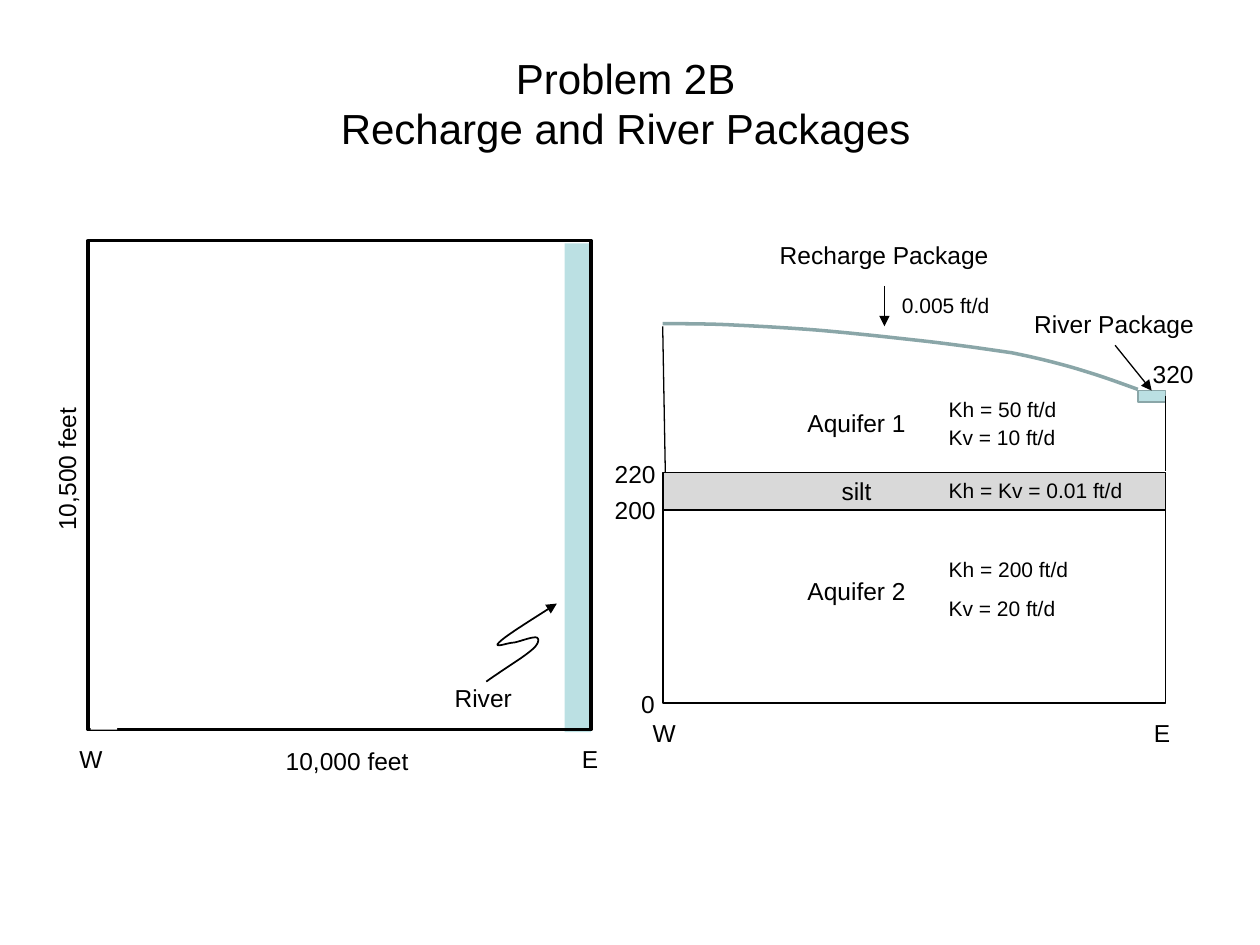
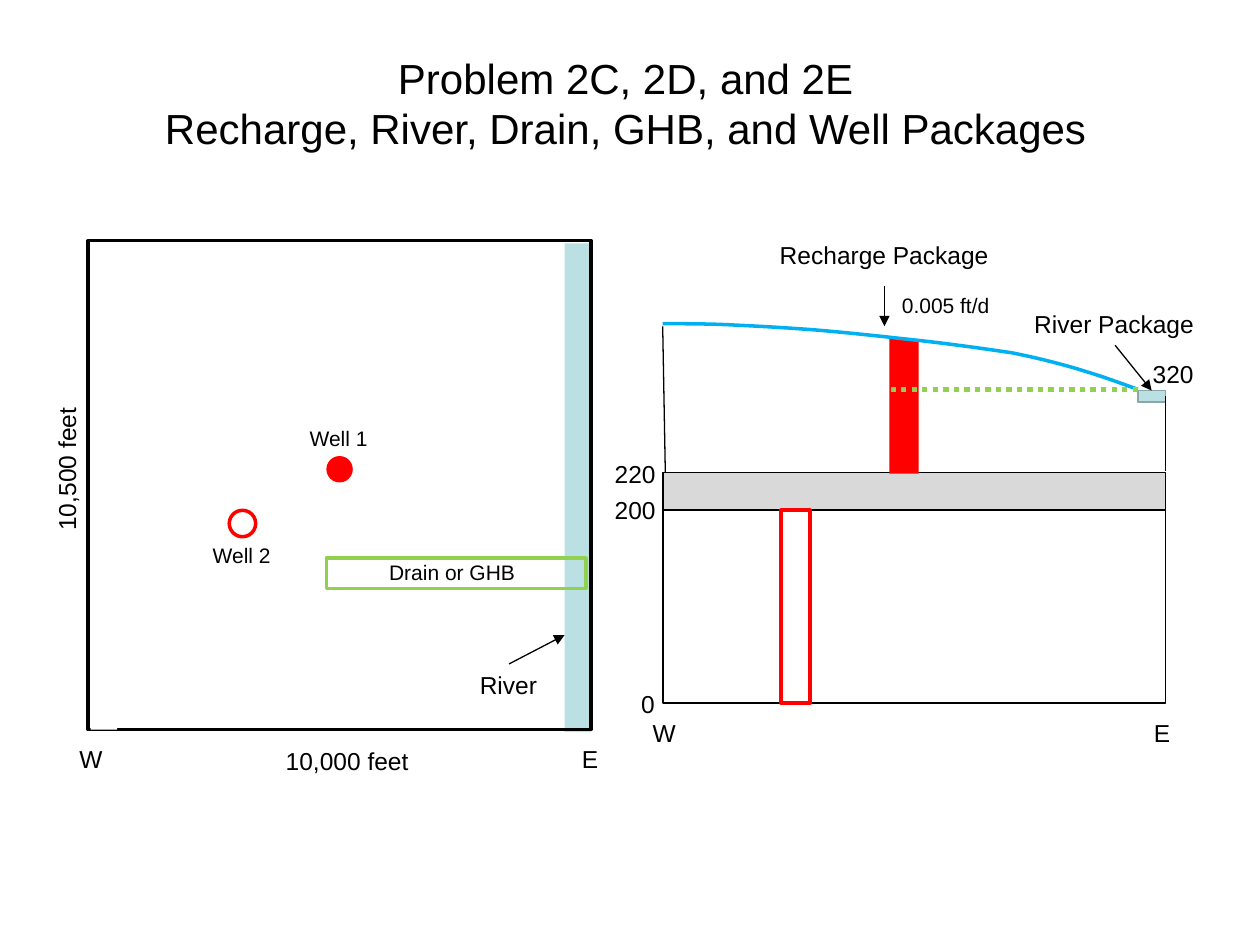
from lxml.etree import SubElement
from pptx import Presentation
from pptx.dml.color import RGBColor
from pptx.enum.dml import MSO_LINE
from pptx.enum.shapes import MSO_CONNECTOR, MSO_SHAPE
from pptx.enum.text import MSO_ANCHOR, MSO_AUTO_SIZE, PP_ALIGN
from pptx.oxml.ns import qn
from pptx.util import Pt

# Shared look; all lengths are in points
HUES = {"ink": "000000", "white": "FFFFFF", "river": "BBE0E3", "bank": "8AA6A8",
        "silt": "D9D9D9", "green": "92D050", "red": "FF0000", "blue": "00B0F0"}
FONT = "Arial"
HIGH = {14: 24.5, 12: 21.6}  # text box height by font size
RECT, OVAL = MSO_SHAPE.RECTANGLE, MSO_SHAPE.OVAL

# Section: west and east edges, top of silt, top of aquifer 2, base
WEST, EAST, SILT, DEEP, BASE = 378.7, 666, 270, 291.6, 401.8
WIDE = EAST - WEST
BANK = 650.2  # west bank of the river in the section
WELL = 508.3  # west side of well 1 in the section

# Boxes: kind, left, top, width, height, fill, line, line width
BOXES = [
    (RECT, 322.6, 139, 15.1, 279.4, "river", None, 0),
    (RECT, 50.4, 137.5, 287.3, 279.4, None, "ink", 2),
    (RECT, 51.8, 139, 15.1, 277.9, "white", None, 0),
    (RECT, WEST, DEEP, WIDE, BASE - DEEP, "white", "ink", 1),
    (RECT, WEST, SILT, WIDE, DEEP - SILT, "silt", "ink", 1),
    (RECT, BANK, 223.2, EAST - BANK, 6.5, "river", "bank", 1),
]
# Lines: x1, y1, x2, y2, colour, width, end style
LINES = [
    (380.2, SILT, WEST, 186.5, "ink", 0.75, None),
    (EAST, 226.1, EAST, 269.3, "ink", 0.75, None),
    (637.2, 197.3, 658.1, 223.2, "ink", 0.75, "arrow"),
    (505.4, 163.4, 505.4, 186.5, "ink", 0.75, "arrow"),
]
# Labels: text, left, top, width, size, turn
WORDS = [
    ("W", 38.2, 421.9, 28.1, 14, 0),
    ("E", 325.4, 421.9, 23.8, 14, 0),
    ("10,000 feet", 156.2, 422.6, 85, 14, 0),
    ("10,500 feet", -4.3, 255.6, 85, 14, 270),
    ("0", 359.3, 390.2, 22.3, 14, 0),
    ("200", 344.2, 279.4, 38.2, 14, 0),
    ("220", 344.2, 258.5, 38.2, 14, 0),
    ("320", 651.6, 201.6, 38.2, 14, 0),
    ("W", 365.8, 406.8, 28.1, 14, 0),
    ("E", 652.3, 406.8, 23.8, 14, 0),
    ("Recharge Package", 438.5, 133.9, 134.6, 14, 0),
    ("0.005 ft/d", 508.3, 163.4, 64.8, 12, 0),
    ("River Package", 583.9, 172.8, 106.6, 14, 0),
]
# Curves: a start point, then three points for each Bezier piece
TABLE = [(378.7, 185), (392.4, 185), (406.1, 185), (420.5, 185.8),
         (435.6, 186.5), (447.8, 187.2), (466.6, 188.6),
         (484.6, 190.1), (511.2, 193), (529.9, 195.1),
         (548.6, 197.3), (563, 199.4), (578.2, 201.6),
         (592.6, 204.5), (607, 208.1), (618.5, 211.7),
         (630.7, 215.3), (640.1, 218.9), (BANK, 222.5)]
SWIRL = [(277.9, 389.5), (288, 382.3), (298.8, 375.8), (303.8, 371.5),
         (308.2, 367.9), (308.2, 365), (306.7, 364.3),
         (304.6, 363.6), (297.4, 366.5), (293.8, 367.2),
         (290.2, 367.2), (281.5, 370.8), (285.1, 367.2),
         (289.4, 362.9), (303.8, 354.2), (318.2, 344.9)]

# What each slide adds to the shared drawing
PAGES = [
    {"title": ["Problem 2B", "Recharge and River Packages"],
     "boxes": [], "lines": [], "solid": [],
     "curves": [(TABLE, "bank", 2, None), (SWIRL, "ink", 1, "arrow")],
     "words": [
         ("River", 252.7, 386.6, 47.5, 14, 0),
         ("Aquifer 1", 454.3, 229.7, 71.3, 14, 0),
         ("Aquifer 2", 454.3, 325.4, 71.3, 14, 0),
         ("silt", 473.8, 268.6, 31.7, 14, 0),
         ("Kh = 50 ft/d", 535, 223.2, 77, 12, 0),
         ("Kv = 10 ft/d", 535, 239, 76.3, 12, 0),
         ("Kh = Kv = 0.01 ft/d", 535, 269.3, 115.2, 12, 0),
         ("Kh = 200 ft/d", 535, 314.6, 83.5, 12, 0),
         ("Kv = 20 ft/d", 535, 337, 76.3, 12, 0)]},
    {"title": ["Problem 2C, 2D, and 2E",
               "Recharge, River, Drain, GHB, and Well Packages"],
     "boxes": [
         (RECT, 186.5, 319, 148.3, 17.3, None, "green", 2),
         (OVAL, 186.5, 260.6, 15.1, 15.1, "red", None, 0),
         (OVAL, 131, 291.6, 15.1, 15.1, None, "red", 2),
         (RECT, 446.4, DEEP, 16.6, BASE - DEEP, None, "red", 2)],
     "lines": [
         (290.9, 379.4, 322.6, 362.9, "ink", 0.75, "arrow"),
         (BANK, 222.5, WELL, 222.5, "green", 3, "dots")],
     "solid": [(WELL, 193), (WELL, 270.7), (524.9, 270.7), (524.9, 195.1)],
     "curves": [(TABLE, "blue", 2, None)],
     "words": [
         ("River", 267.1, 379.4, 47.5, 14, 0),
         ("Drain or GHB", 215.3, 316.1, 90.7, 12, 0),
         ("Well 1", 169.9, 239.8, 48.2, 12, 0),
         ("Well 2", 114.5, 306.7, 48.2, 12, 0)]},
]


def paint(item, fill, line, width, end=None):
    """Set fill, outline, line end and absence of shadow."""
    if fill:
        item.fill.solid()
        item.fill.fore_color.rgb = RGBColor.from_string(HUES[fill])
    elif hasattr(item, "fill"):
        item.fill.background()
    if line:
        item.line.color.rgb = RGBColor.from_string(HUES[line])
        item.line.width = Pt(width)
    else:
        item.line.fill.background()
    if end == "dots":
        item.line.dash_style = MSO_LINE.ROUND_DOT
    if end == "arrow":
        SubElement(item.line._get_or_add_ln(), qn("a:tailEnd"), type="triangle")
    if hasattr(item, "shadow"):
        item.shadow.inherit = False
    else:
        SubElement(item._element.spPr, qn("a:effectLst"))


def write(para, text, size):
    """Add one run in the shared font."""
    run = para.add_run()
    run.text = text
    run.font.name = FONT
    run.font.size = Pt(size)
    run.font.color.rgb = RGBColor.from_string(HUES["ink"])


deck = Presentation()
deck.slide_width, deck.slide_height = Pt(720), Pt(540)

for page in PAGES:
    slide = deck.slides.add_slide(deck.slide_layouts[5])
    shapes = slide.shapes

    # Title
    title = shapes.title
    title.left, title.top, title.width, title.height = map(Pt, (34.6, 21.6, 645.8, 74.2))
    frame = title.text_frame
    frame.auto_size = MSO_AUTO_SIZE.NONE
    frame.vertical_anchor = MSO_ANCHOR.MIDDLE
    para = frame.paragraphs[0]
    para.alignment = PP_ALIGN.CENTER
    write(para, page["title"][0], 24)
    para.add_line_break()
    write(para, page["title"][1], 24)

    # Plan view and section
    for kind, x, y, w, h, fill, line, width in BOXES + page["boxes"]:
        paint(shapes.add_shape(kind, Pt(x), Pt(y), Pt(w), Pt(h)), fill, line, width)

    # Well that follows the slope of the water table
    if page["solid"]:
        spots = [(Pt(x), Pt(y)) for x, y in page["solid"]]
        form = shapes.build_freeform(*spots[0])
        form.add_line_segments(spots[1:], close=True)
        paint(form.convert_to_shape(), "red", None, 0)

    # Curves, each Bezier piece drawn in ten steps
    for knots, line, width, end in page["curves"]:
        spots = []
        for i in range(0, len(knots) - 1, 3):
            for step in range(1, 11):
                t = step / 10
                parts = ((1 - t) ** 3, 3 * t * (1 - t) ** 2, 3 * t * t * (1 - t), t ** 3)
                spots.append(tuple(
                    Pt(sum(k * spot[axis] for k, spot in zip(parts, knots[i:i + 4])))
                    for axis in (0, 1)))
        form = shapes.build_freeform(*map(Pt, knots[0]))
        form.add_line_segments(spots, close=False)
        paint(form.convert_to_shape(), None, line, width, end)

    # Straight lines and arrows
    for x1, y1, x2, y2, line, width, end in LINES + page["lines"]:
        rule = shapes.add_connector(MSO_CONNECTOR.STRAIGHT, Pt(x1), Pt(y1), Pt(x2), Pt(y2))
        paint(rule, None, line, width, end)

    # Labels
    for text, x, y, w, size, turn in WORDS + page["words"]:
        label = shapes.add_textbox(Pt(x), Pt(y), Pt(w), Pt(HIGH[size]))
        label.rotation = turn
        label.text_frame.word_wrap = False
        label.text_frame.auto_size = MSO_AUTO_SIZE.SHAPE_TO_FIT_TEXT
        write(label.text_frame.paragraphs[0], text, size)

deck.save("out.pptx")
